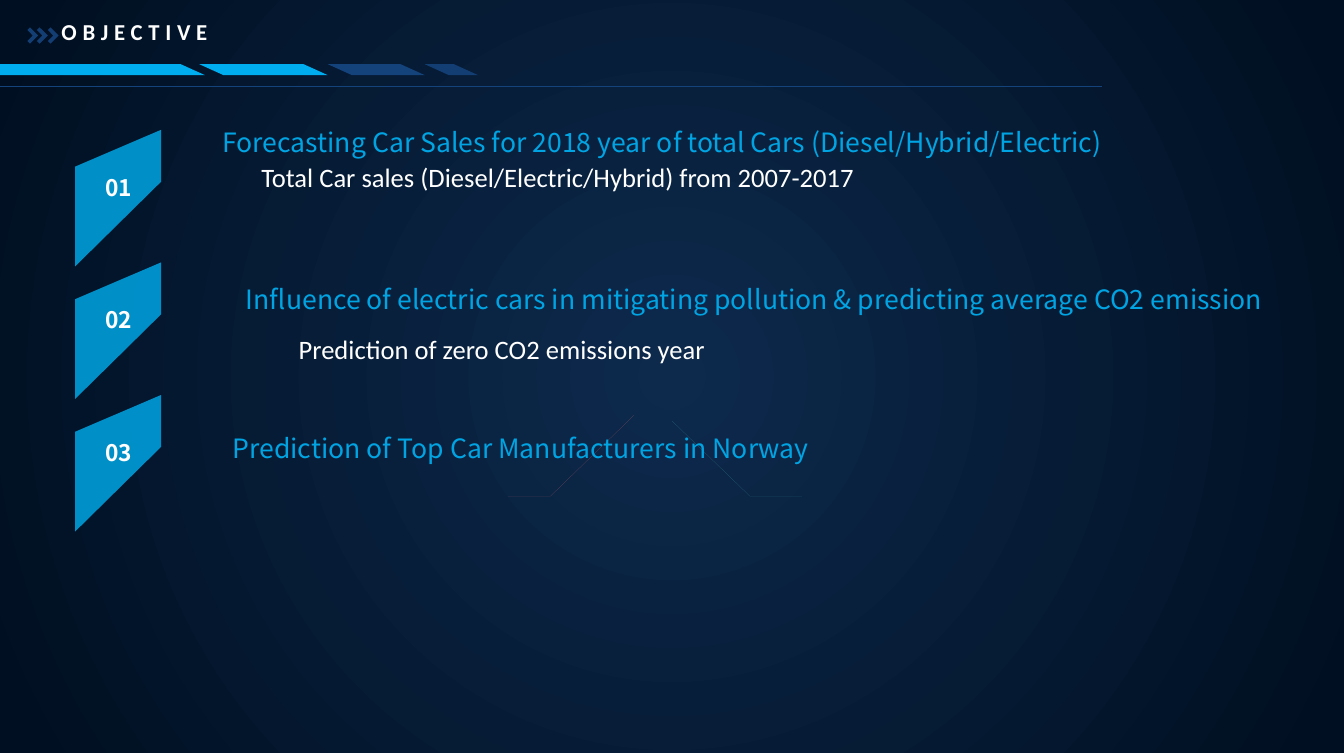
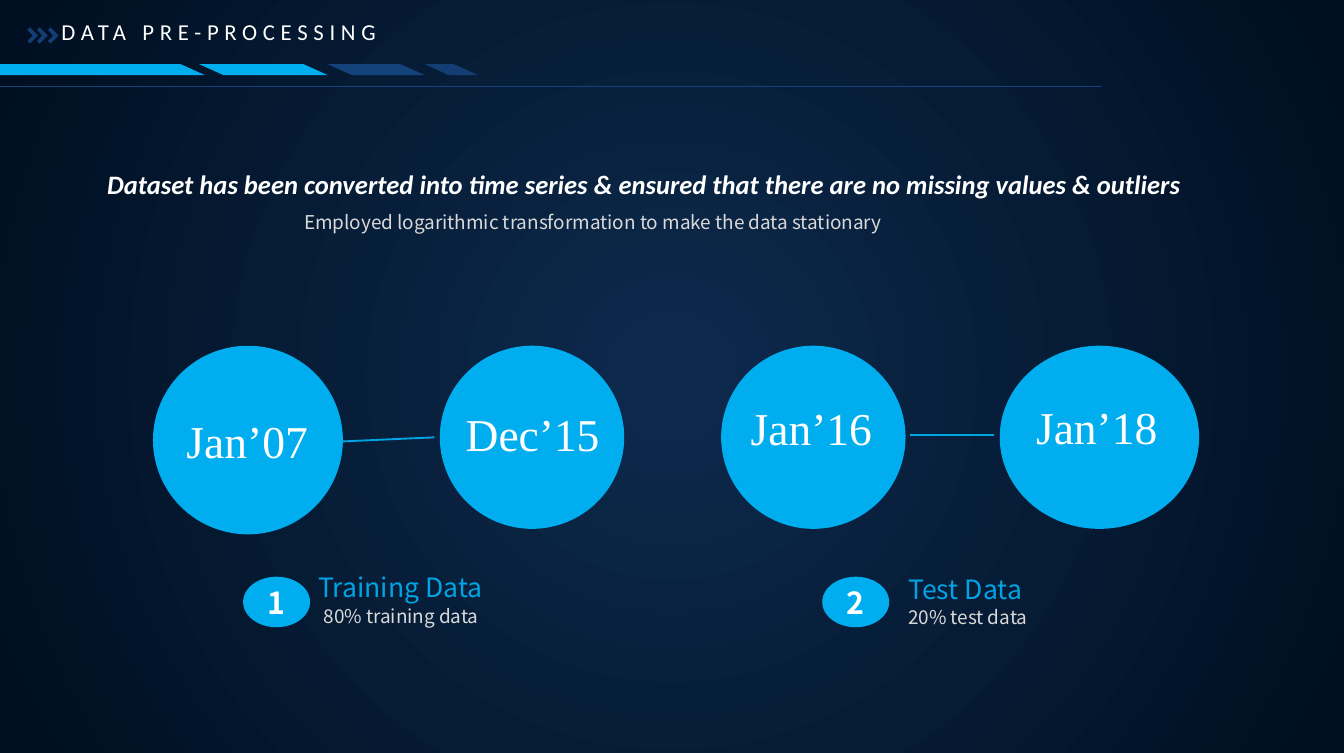
from pptx import Presentation
from pptx.dml.color import RGBColor
from pptx.enum.shapes import MSO_CONNECTOR, MSO_SHAPE
from pptx.enum.text import MSO_ANCHOR, MSO_AUTO_SIZE, PP_ALIGN
from pptx.oxml import parse_xml
from pptx.oxml.ns import nsdecls, qn
from pptx.oxml.xmlchemy import OxmlElement
from pptx.util import Emu, Pt

# 100 px to the inch
SCALE = 9144
WIDE, HIGH = 984, 551

SANS, BODY, SERIF = "Noto Sans CJK SC", "Calibri", "Times New Roman"
WHITE = RGBColor(0xFF, 0xFF, 0xFF)
GREY = RGBColor(0xD9, 0xD9, 0xD9)
CYAN = RGBColor(0x00, 0xAE, 0xEF)
AZURE = RGBColor(0x00, 0xA4, 0xE3)
BLUE = RGBColor(0x14, 0x42, 0x7A)
NAVY = RGBColor(0x13, 0x3E, 0x73)
TEAL = RGBColor(0x37, 0x86, 0x90)
ROSE = RGBColor(0xA9, 0x58, 0x65)
GLOW = RGBColor(0x0D, 0x2A, 0x4D)
NIGHT = RGBColor(0x00, 0x0F, 0x21)

LEFT, MID = PP_ALIGN.LEFT, PP_ALIGN.CENTER


def px(*nums):
    return [Emu(n * SCALE) for n in nums]


def paint(shape, color):
    shape.shadow.inherit = False
    shape.fill.solid()
    shape.fill.fore_color.rgb = color
    shape.line.fill.background()
    return shape


def write(shape, words, size, color=WHITE, font=SANS, align=LEFT,
          bold=False, slant=False, lead=None, anchor=MSO_ANCHOR.TOP):
    frame = shape.text_frame
    frame.word_wrap = True
    frame.auto_size = MSO_AUTO_SIZE.NONE
    frame.margin_left = frame.margin_right = 0
    frame.vertical_anchor = anchor
    para = frame.paragraphs[0]
    para.alignment = align
    if lead:
        para.line_spacing = lead
    run = para.add_run()
    run.text = words
    run.font.size, run.font.name = Pt(size), font
    run.font.bold, run.font.italic = bold, slant
    run.font.color.rgb = color
    return run


def label(slide, box, words, size, **style):
    return write(slide.shapes.add_textbox(*px(*box)), words, size, **style)


def preset(slide, kind, box, color):
    return paint(slide.shapes.add_shape(kind, *px(*box)), color)


def outline(slide, points, color):
    pen = slide.shapes.build_freeform(*points[0], scale=SCALE)
    pen.add_line_segments(points[1:], close=True)
    return paint(pen.convert_to_shape(), color)


def line(slide, ends, color, width):
    rule = slide.shapes.add_connector(MSO_CONNECTOR.STRAIGHT, *px(*ends))
    rule.line.color.rgb = color
    rule.line.width = Pt(width)
    rule._element.spPr.append(OxmlElement("a:effectLst"))


def backdrop(deck):
    """Give the master its radial glow."""
    master = deck.slide_master
    fill = master.background.fill
    fill.gradient()
    for stop, spot, color in zip(fill.gradient_stops, (0, 0.97), (GLOW, NIGHT)):
        stop.position = spot
        stop.color.rgb = color
    grad = master.element.find(".//" + qn("a:gradFill"))
    grad.replace(grad.find(qn("a:lin")), parse_xml(
        f'<a:path {nsdecls("a")} path="circle">'
        '<a:fillToRect l="50000" t="50000" r="50000" b="50000"/></a:path>'))


def start(deck, title, bold):
    """Add a slide with the shared title, chevrons and band."""
    slide = deck.slides.add_slide(deck.slide_layouts[5])
    head = slide.shapes.title
    head.left, head.top, head.width, head.height = px(45, 8, 400, 30)
    run = write(head, title, 12, font=BODY, bold=bold)
    run._r.get_or_add_rPr().set("spc", "300")

    # Chevrons
    for x in (20, 27, 35):
        tips = ((0, 2), (2, 0), (8, 6), (2, 12), (0, 10), (4, 6))
        outline(slide, [(x + a, 20 + b) for a, b in tips], NAVY)

    # Band and rule
    for x, wide, color in ((-161, 311, CYAN), (146, 94, CYAN),
                           (240, 71, BLUE), (311, 39, NAVY)):
        bar = preset(slide, MSO_SHAPE.PARALLELOGRAM, (x, 47, wide, 8), color)
        bar.adjustments[0] = 2.21
        bar._element.spPr.xfrm.set("flipV", "1")
    line(slide, (0, 63, 807, 63), BLUE, 0.5)
    return slide


def ribbon(slide, top, words):
    points = ((118, 0), (55, 27), (55, 100), (118, 38))
    flag = outline(slide, [(x, top + y) for x, y in points], CYAN)
    alpha = OxmlElement("a:alpha")
    alpha.set("val", "80000")
    flag._element.spPr.find(".//" + qn("a:srgbClr")).append(alpha)
    label(slide, (77, top + 27, 35, 30), words, 12, bold=True)


def goals(deck):
    slide = start(deck, "OBJECTIVE", True)

    # Faint slivers
    outline(slide, [(492, 308), (549, 363), (587, 363), (549, 363)], TEAL)
    outline(slide, [(464, 304), (403, 363), (372, 363), (403, 363)], ROSE)

    for step in range(3):
        ribbon(slide, 95 + 97 * step, f"{step + 1:02}")

    # Goals and their details
    for box, words, color, font in (
        ((139, 87, 692, 34), "Forecasting Car Sales for 2018 year of total Cars "
         "(Diesel/Hybrid/Electric)", AZURE, SANS),
        ((94, 113, 629, 34), "Total Car sales (Diesel/Electric/Hybrid) from "
         "2007-2017", WHITE, BODY),
        ((137, 202, 831, 34), "Influence of electric cars in mitigating pollution "
         "& predicting average CO2 emission", AZURE, SANS),
        ((44, 239, 647, 34), "Prediction of zero CO2 emissions year", WHITE, BODY),
        ((-34, 311, 831, 34), "Prediction of Top Car Manufacturers in Norway",
         AZURE, SANS),
    ):
        label(slide, box, words, 14, color=color, font=font, align=MID)


def series(deck):
    slide = start(deck, "DATA PRE-PROCESSING", False)

    # Summary
    label(slide, (66, 118, 812, 34), "Dataset has been converted into time series "
          "& ensured that there are no missing values & outliers", 14,
          font=BODY, align=MID, bold=True, slant=True)
    label(slide, (110, 147, 648, 29), "Employed logarithmic transformation to make "
          "the data stationary", 10, color=GREY, align=MID, lead=1.14)

    # Dates and links
    line(slide, (251, 323, 318, 320), AZURE, 1)
    line(slide, (666, 318, 728, 318), AZURE, 1)
    for x, wide, high, left, top, words in (
        (112, 139, 138, 126, 297, "Jan’07"), (322, 135, 134, 335, 292, "Dec’15"),
        (528, 135, 134, 539, 288, "Jan’16"), (732, 146, 134, 748, 287, "Jan’18"),
    ):
        preset(slide, MSO_SHAPE.OVAL, (x, 253, wide, high), CYAN)
        label(slide, (left, top, 110, 50), words, 24, font=SERIF, align=MID)

    # Legend
    for mark, x, left, low, top, name, note in (
        ("1", 178, 233, 237, 413, "Training Data", "80% training data"),
        ("2", 602, 665, 665, 414, "Test Data", "20% test data"),
    ):
        badge = preset(slide, MSO_SHAPE.OVAL, (x, 422, 49, 37), CYAN)
        write(badge, mark, 16, align=MID, bold=True, anchor=MSO_ANCHOR.MIDDLE)
        label(slide, (left, top, 170, 34), name, 14, color=AZURE)
        label(slide, (low, top + 22, 200, 29), note, 10, color=GREY, lead=1.14)


def main():
    deck = Presentation()
    deck.slide_width, deck.slide_height = px(WIDE, HIGH)
    backdrop(deck)
    goals(deck)
    series(deck)
    deck.save("out.pptx")


if __name__ == "__main__":
    main()
